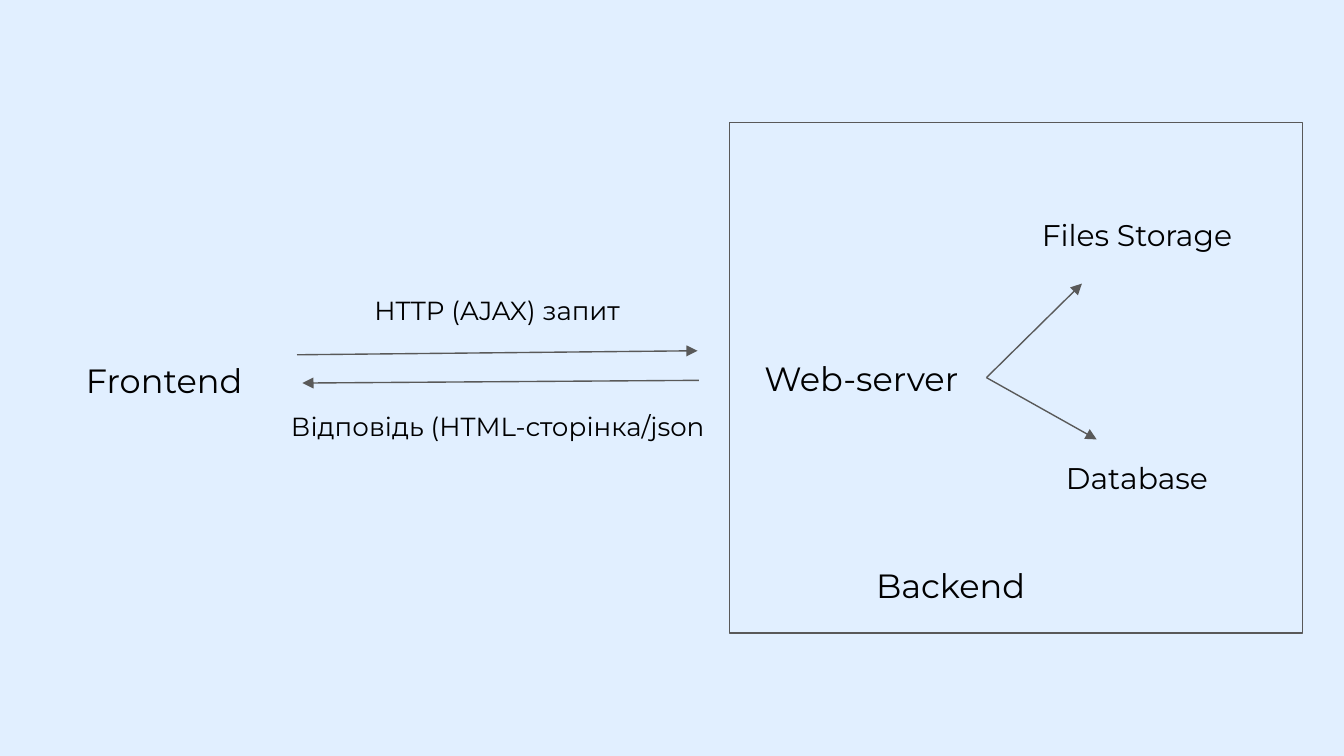
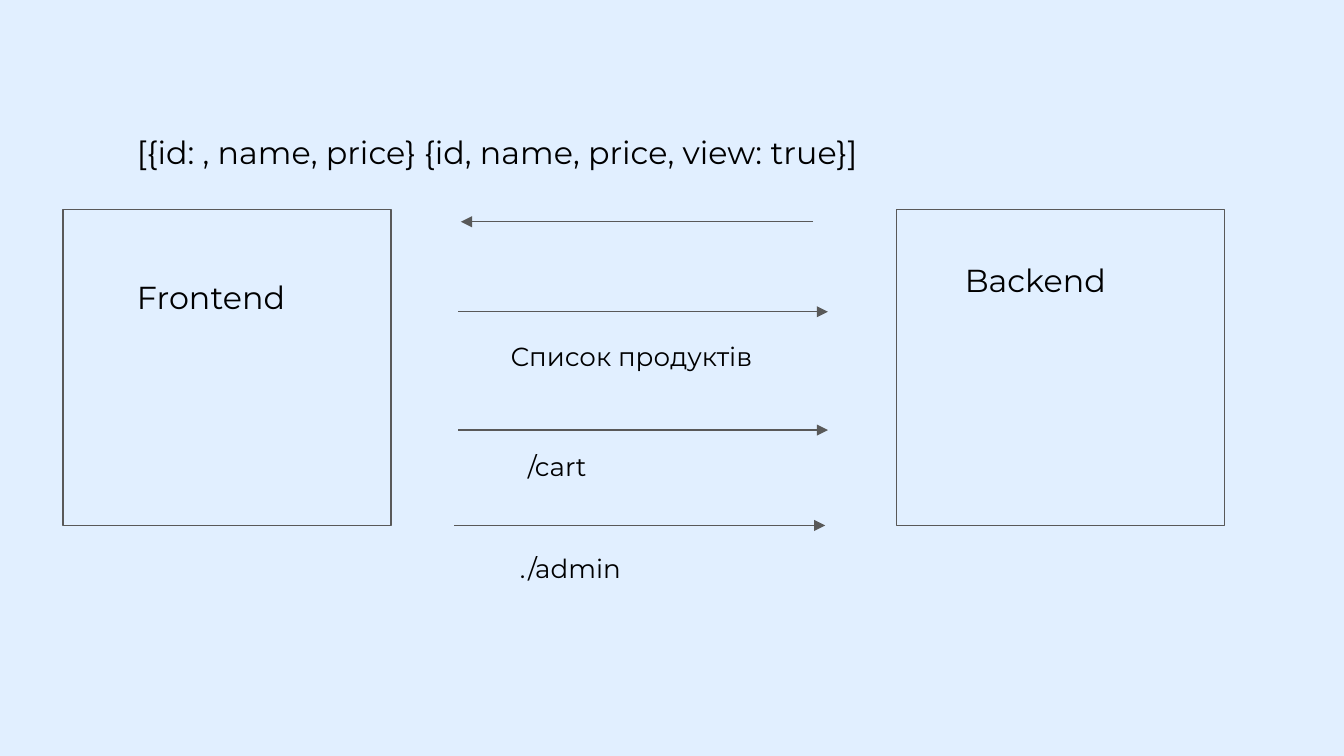
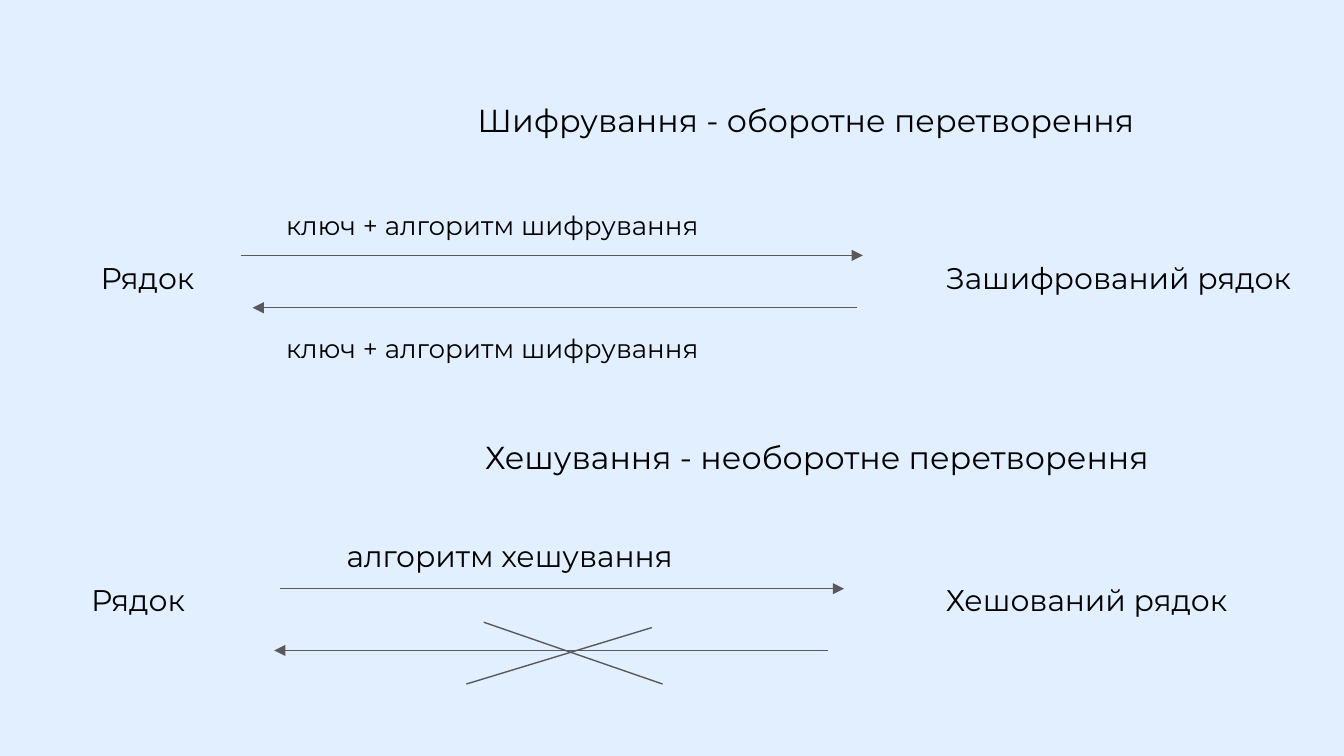
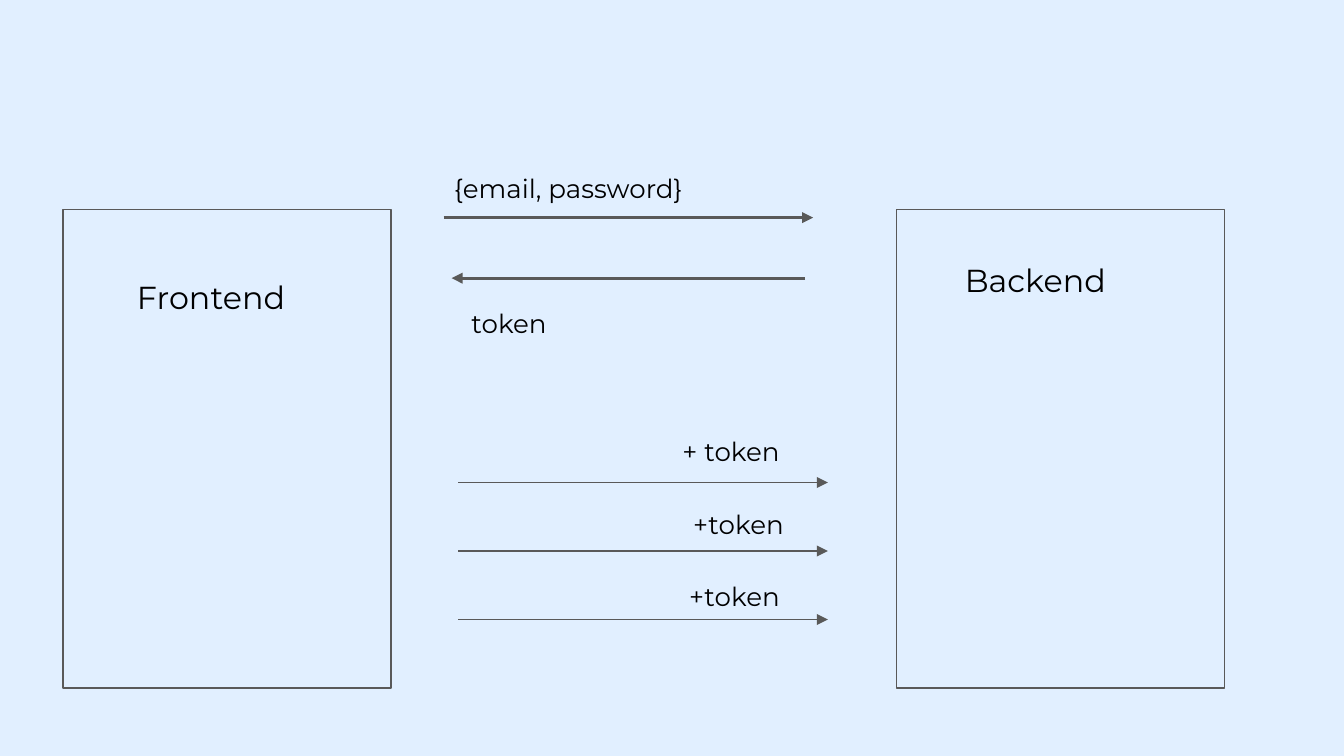
from dataclasses import dataclass

import lxml.etree
import pptx
import pptx.dml.color
import pptx.enum.shapes
import pptx.enum.text
import pptx.oxml.ns
import pptx.util


@dataclass(frozen=True)
class Theme:
    background: str = "E1EFFF"
    line: str = "595959"
    text: str = "000000"
    font: str = "Montserrat"
    title: int = 18
    heading: int = 17
    body: int = 16
    caption: int = 14
    thin: float = 0.75
    thick: float = 1.5
    inset: float = 0.1
    line_height: float = 1.22


THEME = Theme()
COLUMNS = 10  # the grid cells are square: a tenth of the slide's width
WIDTH = 10
HEIGHT = WIDTH * 9 / 16
ALIGN = pptx.enum.text.PP_ALIGN
LEFT, CENTER, RIGHT = ALIGN.LEFT, ALIGN.CENTER, ALIGN.RIGHT

# Labels: text, type size, left, top, width, alignment
# Arrows: start, end (column, row), weight
# Boxes: left, top, width, height

REQUEST_CYCLE = {
    "boxes": [(5.43, 0.91, 4.26, 3.8)],
    "labels": [
        ("Frontend", THEME.title, 0.54, 2.58, 1.51, LEFT),
        ("Web-server", THEME.title, 5.59, 2.56, 1.76, LEFT),
        ("Files Storage", THEME.body, 7.58, 1.51, 1.76, CENTER),
        ("Database", THEME.body, 7.8, 3.32, 1.32, CENTER),
        ("Backend", THEME.title, 6.42, 4.1, 1.51, LEFT),
        ("HTTP (AJAX) запит", THEME.caption, 2.46, 2.09, 2.48, CENTER),
        ("Відповідь (HTML-сторінка/json", THEME.caption, 1.95, 2.95, 3.51, CENTER),
    ],
    "arrows": [
        ((2.21, 2.64), (5.19, 2.61), THEME.thin),
        ((5.2, 2.83), (2.25, 2.85), THEME.thin),
        ((7.34, 2.81), (8.05, 2.11), THEME.thin),
        ((7.34, 2.81), (8.16, 3.27), THEME.thin),
    ],
}


def two_parties(box_height, labels, arrows):
    """Frontend and backend boxes side by side, with messages between them."""
    parties = [
        ("Frontend", THEME.heading, 0.92, 1.97, 1.52, LEFT),
        ("Backend", THEME.heading, 7.08, 1.84, 1.52, LEFT),
    ]
    boxes = [(left, 1.56, 2.44, box_height) for left in (0.47, 6.67)]
    return {"boxes": boxes, "labels": parties + labels, "arrows": arrows}


def level_arrow(start, end, row, weight=THEME.thin):
    return (start, row), (end, row), weight


PRODUCT_REQUESTS = two_parties(
    2.35,
    [
        ("[{id: , name, price} {id, name, price, view: true}]",
         THEME.heading, 0.92, 0.89, 8, LEFT),
        ("Список продуктів", THEME.caption, 3.7, 2.43, 2.22, LEFT),
        ("/cart", THEME.caption, 3.83, 3.25, 0.96, LEFT),
        ("./admin", THEME.caption, 3.77, 4.01, 1.09, LEFT),
    ],
    [
        level_arrow(6.05, 3.43, 1.65),
        level_arrow(3.41, 6.16, 2.32),
        level_arrow(3.41, 6.16, 3.2),
        level_arrow(3.38, 6.14, 3.91),
    ],
)

KEY_LABEL = "ключ + алгоритм шифрування"
ENCRYPTION_AND_HASHING = {
    "labels": [
        ("Шифрування - оборотне перетворення", THEME.heading, 0.54, 0.65, 8, RIGHT),
        ("Рядок", THEME.body, 0.65, 1.83, 1.13, LEFT),
        ("Зашифрований рядок", THEME.body, 6.94, 1.83, 2.88, LEFT),
        (KEY_LABEL, THEME.caption, 2.03, 1.46, 4.21, LEFT),
        (KEY_LABEL, THEME.caption, 2.03, 2.37, 4.21, LEFT),
        ("Хешування - необоротне перетворення", THEME.heading, 0.65, 3.16, 8, RIGHT),
        ("Рядок", THEME.body, 0.58, 4.23, 1.13, LEFT),
        ("Хешований рядок", THEME.body, 6.94, 4.23, 2.88, LEFT),
        ("алгоритм хешування", THEME.body, 2.48, 3.9, 3.69, LEFT),
    ],
    "arrows": [
        level_arrow(1.79, 6.42, 1.9),
        level_arrow(6.38, 1.88, 2.29),
        level_arrow(2.08, 6.28, 4.38),
        level_arrow(6.16, 2.04, 4.84),
    ],
    "cross": [((4.85, 4.67), (3.47, 5.09)), ((3.6, 4.63), (4.93, 5.09))],
}

TOKEN_REQUESTS = [("+ token", 4.98), ("+token", 5.06), ("+token", 5.03)]
TOKEN_LOGIN = two_parties(
    3.56,
    [
        ("{email, password}", THEME.caption, 3.28, 1.18, 6.72, LEFT),
        ("token", THEME.caption, 3.41, 2.19, 0.96, LEFT),
    ] + [
        (text, THEME.caption, left, 3.14 + 0.54 * index, 0.96, LEFT)
        for index, (text, left) in enumerate(TOKEN_REQUESTS)
    ],
    [
        level_arrow(3.3, 6.05, 1.62, THEME.thick),
        level_arrow(5.99, 3.36, 2.07, THEME.thick),
    ] + [
        level_arrow(3.41, 6.16, 3.59 + 0.51 * index)
        for index in range(len(TOKEN_REQUESTS))
    ],
)

DIAGRAMS = [REQUEST_CYCLE, PRODUCT_REQUESTS, ENCRYPTION_AND_HASHING, TOKEN_LOGIN]


def color(value):
    return pptx.dml.color.RGBColor.from_string(value)


def grid(*cells):
    """Turn grid lengths into slide lengths."""
    return [pptx.util.Inches(cell * WIDTH / COLUMNS) for cell in cells]


def style_line(line, weight):
    line.color.rgb = color(THEME.line)
    line.width = pptx.util.Pt(weight)


def add_box(slide, left, top, width, height):
    shape = slide.shapes.add_shape(
        pptx.enum.shapes.MSO_SHAPE.RECTANGLE, *grid(left, top, width, height))
    shape.shadow.inherit = False
    shape.fill.background()
    style_line(shape.line, THEME.thin)


def add_label(slide, text, size, left, top, width, alignment):
    height = 2 * THEME.inset + size * THEME.line_height / 72
    frame = slide.shapes.add_textbox(*grid(left, top, width, height)).text_frame
    frame.word_wrap = True
    frame.auto_size = pptx.enum.text.MSO_AUTO_SIZE.SHAPE_TO_FIT_TEXT
    inset = pptx.util.Inches(THEME.inset)
    frame.margin_left = frame.margin_right = inset
    frame.margin_top = frame.margin_bottom = inset
    paragraph = frame.paragraphs[0]
    paragraph.text = text
    paragraph.alignment = alignment
    paragraph.font.name = THEME.font
    paragraph.font.size = pptx.util.Pt(size)
    paragraph.font.color.rgb = color(THEME.text)


def add_line(slide, start, end, weight=THEME.thin, arrowhead=False):
    connector = slide.shapes.add_connector(
        pptx.enum.shapes.MSO_CONNECTOR.STRAIGHT, *grid(*start, *end))
    style_line(connector.line, weight)
    properties = connector._element.spPr
    if arrowhead:
        outline = properties.find(pptx.oxml.ns.qn("a:ln"))
        lxml.etree.SubElement(outline, pptx.oxml.ns.qn("a:tailEnd"), type="triangle")
    lxml.etree.SubElement(properties, pptx.oxml.ns.qn("a:effectLst"))


def add_diagram(presentation, diagram):
    slide = presentation.slides.add_slide(presentation.slide_layouts[6])
    slide.background.fill.solid()
    slide.background.fill.fore_color.rgb = color(THEME.background)
    for box in diagram.get("boxes", []):
        add_box(slide, *box)
    for label in diagram["labels"]:
        add_label(slide, *label)
    for arrow in diagram["arrows"]:
        add_line(slide, *arrow, arrowhead=True)
    for stroke in diagram.get("cross", []):
        add_line(slide, *stroke)


def main():
    presentation = pptx.Presentation()
    presentation.slide_width = pptx.util.Inches(WIDTH)
    presentation.slide_height = pptx.util.Inches(HEIGHT)
    for diagram in DIAGRAMS:
        add_diagram(presentation, diagram)
    presentation.save("out.pptx")


if __name__ == "__main__":
    main()
